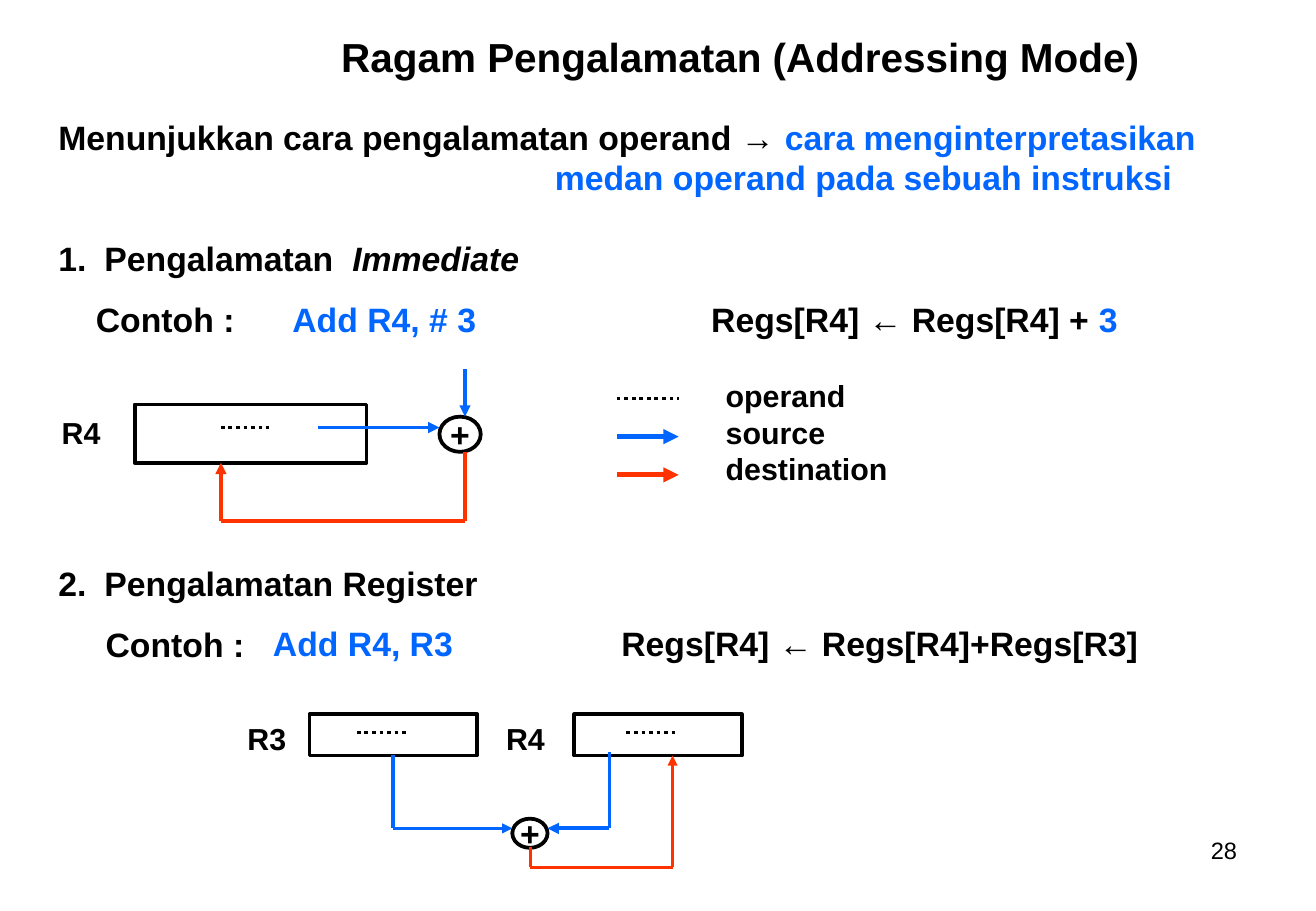
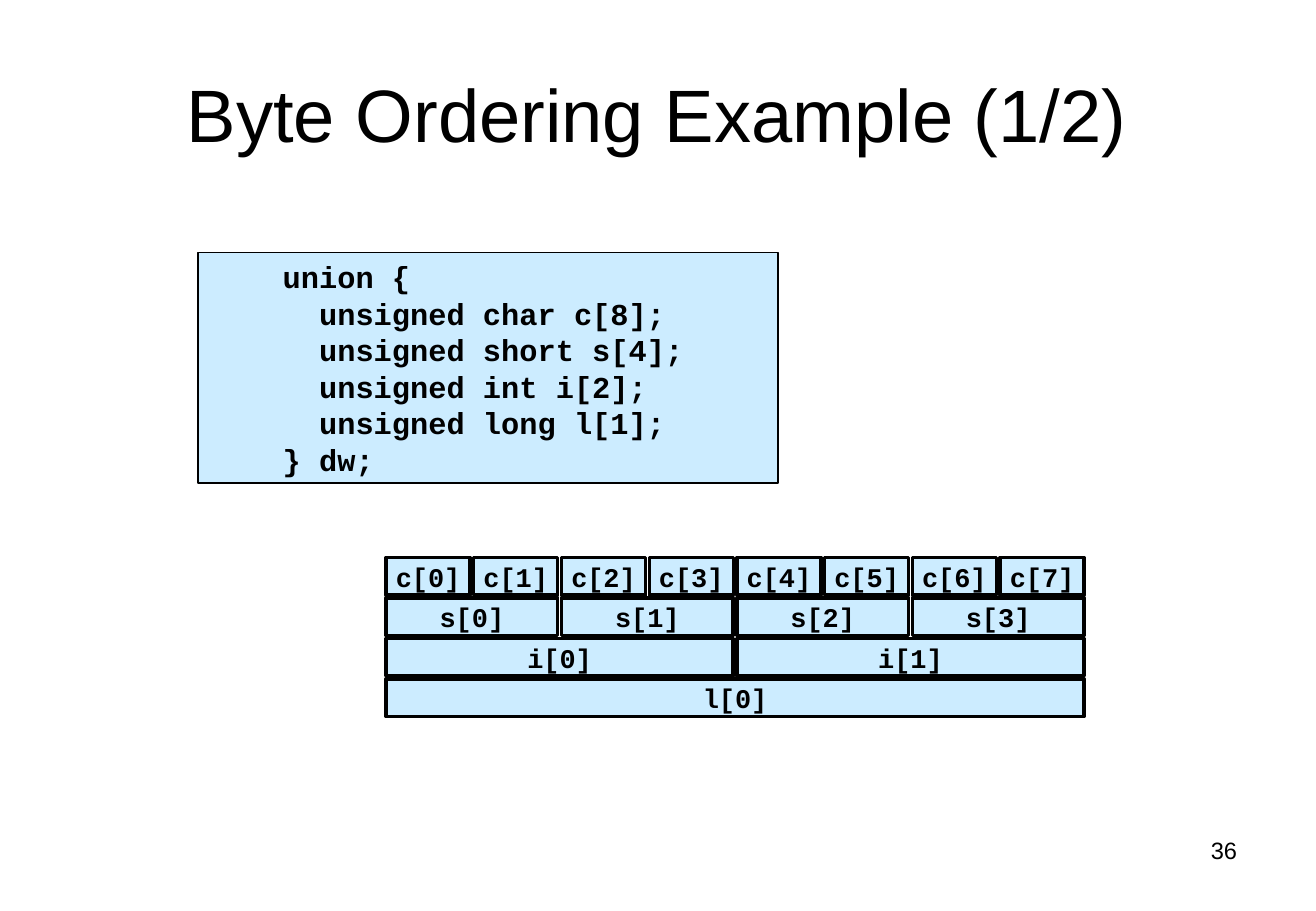
from pptx import Presentation
from pptx.dml.color import RGBColor
from pptx.enum.dml import MSO_LINE
from pptx.enum.shapes import MSO_CONNECTOR, MSO_SHAPE
from pptx.enum.text import MSO_ANCHOR, MSO_AUTO_SIZE, PP_ALIGN
from pptx.oxml.ns import qn
from pptx.util import Inches, Pt
from lxml import etree

LEFT, MID, RIGHT = PP_ALIGN.LEFT, PP_ALIGN.CENTER, PP_ALIGN.RIGHT
TOP, CENTER = MSO_ANCHOR.TOP, MSO_ANCHOR.MIDDLE
RECT, OVAL = MSO_SHAPE.RECTANGLE, MSO_SHAPE.OVAL
LINE, DOTS = MSO_CONNECTOR.STRAIGHT, MSO_LINE.ROUND_DOT
BOTTOM = 2

COL = {"ink": "000000", "blue": "0066FF", "red": "FF3300",
       "pale": "CCECFF", "white": "FFFFFF"}
SANS, MONO = "Arial", "Courier New"

# Slide 1 text: runs are (text, colour, italic)
INTRO = [
    dict(runs=[("Menunjukkan cara pengalamatan operand → ", "ink"),
               ("cara menginterpretasikan", "blue")]),
    dict(runs=[("medan operand pada sebuah instruksi", "blue")], left=4.09),
    dict(runs=[("Pengalamatan  ", "ink"), ("Immediate", "ink", True)],
         num=1, space=2),
    dict(runs=[("Contoh :", "ink")], left=0.31, space=1.5),
    dict(runs=[("Pengalamatan Register", "ink")],
         num=2, space=2, before=108.5),
    dict(runs=[("Contoh :", "ink")], left=0.39, space=1.5),
]
# Examples beside "Contoh": box, runs
SAMPLES = [
    ((2.31, 2.41, 2.2, 0.42), [("Add R4, # 3", "blue")]),
    ((5.76, 2.41, 4.6, 0.42), [("Regs[R4] ← Regs[R4] + ", "ink"),
                               ("3", "blue")]),
    ((2.15, 5.08, 2.2, 0.42), [("Add R4, R3", "blue")]),
    ((5.02, 5.08, 4.8, 0.42), [("Regs[R4] ← Regs[R4]+Regs[R3]", "ink")]),
]

# Slide 1 diagrams: registers (name, label x, label y, box)
REGS = [("R4", 0.41, 3.36, (1.11, 3.33, 1.91, 0.48)),
        ("R3", 1.94, 5.88, (2.55, 5.88, 1.38, 0.34)),
        ("R4", 4.07, 5.88, (4.73, 5.88, 1.38, 0.34))]
ADDERS = [(3.62, 3.43, 0.34, 0.29), (4.22, 6.74, 0.29, 0.24)]
DASHES = [(1.82, 2.22, 3.52), (2.94, 3.37, 6.03), (5.16, 5.59, 6.03)]
# Wires: colour, corner points, width of each segment; the last has the head
WIRES = [
    ("blue", [(3.83, 3.04), (3.83, 3.43)], [2.25]),
    ("blue", [(2.62, 3.52), (3.62, 3.52)], [2.25]),
    ("red", [(3.83, 3.72), (3.83, 4.29), (1.82, 4.29), (1.82, 3.81)],
     [2.25, 2.25, 2.25]),
    ("blue", [(3.24, 6.22), (3.24, 6.82), (4.22, 6.82)], [2.25, 1.5]),
    ("blue", [(5.02, 6.19), (5.02, 6.82), (4.51, 6.82)], [2.25, 2.25]),
    ("red", [(4.37, 6.97), (4.37, 7.14), (5.54, 7.14), (5.54, 6.22)],
     [2.25, 1.5, 1.5]),
]
LEGEND = [("operand", "ink", 2.25), ("source", "blue", 3),
          ("destination", "red", 3)]

# Slide 2: code lines as (level, text), and one array name per row
CODE = [(0, "union {"), (1, "unsigned char c[8];"),
        (1, "unsigned short s[4];"), (1, "unsigned int i[2];"),
        (1, "unsigned long l[1];"), (0, "} dw;")]
ARRAYS, BYTES = "csil", 8


def rgb(name):
    return RGBColor.from_string(COL[name])


def font(run, size, bold=False, face=SANS, color="ink", slant=False):
    f = run.font
    f.name, f.size, f.bold, f.italic = face, Pt(size), bold, slant
    f.color.rgb = rgb(color)


def place(shape, box):
    shape.left, shape.top, shape.width, shape.height = map(Inches, box)


def write(shape, text, size, bold=False, face=SANS, align=LEFT,
          anchor=TOP, wrap=False):
    frame = shape.text_frame
    frame.text = text
    frame.word_wrap, frame.vertical_anchor = wrap, anchor
    frame.auto_size = MSO_AUTO_SIZE.NONE
    for para in frame.paragraphs:
        para.alignment = align
        for run in para.runs:
            font(run, size, bold, face)


def label(slide, box, text, size=18, bold=True, **style):
    shape = slide.shapes.add_textbox(*map(Inches, box))
    write(shape, text, size, bold, **style)


def block(slide, kind, box, fill, width):
    shape = slide.shapes.add_shape(kind, *map(Inches, box))
    shape.shadow.inherit = False
    shape.fill.solid()
    shape.fill.fore_color.rgb = rgb(fill)
    shape.line.color.rgb = rgb("ink")
    shape.line.width = Pt(width)
    return shape


def wire(slide, start, end, color, width, head=False, dots=False):
    link = slide.shapes.add_connector(LINE, *map(Inches, (*start, *end)))
    link.line.color.rgb = rgb(color)
    link.line.width = Pt(width)
    if dots:
        link.line.dash_style = DOTS
    if head:
        ln = link._element.spPr.find(qn("a:ln"))
        etree.SubElement(ln, qn("a:tailEnd"), type="triangle")
    etree.SubElement(link._element.spPr, qn("a:effectLst"))
    return link


def indent(para, left, hang=0):
    props = para._p.get_or_add_pPr()
    props.set("marL", str(Inches(left)))
    props.set("indent", str(Inches(-hang)))
    return props


def fill_para(para, runs, left=0, num=None, space=1, before=0):
    para.alignment = LEFT
    para.line_spacing = float(space)
    para.space_before, para.space_after = Pt(before), Pt(0)
    hang = 0.38 if num else 0
    props = indent(para, left + hang, hang)
    if num:
        etree.SubElement(props, qn("a:buFont"), typeface=SANS)
        etree.SubElement(props, qn("a:buAutoNum"), type="arabicPeriod",
                         startAt=str(num))
    else:
        etree.SubElement(props, qn("a:buNone"))
    for text, color, *slant in runs:
        run = para.add_run()
        run.text = text
        font(run, 20, True, color=color, slant=bool(slant))


def new_slide(deck, layout, page, title, box, size, **style):
    slide = deck.slides.add_slide(deck.slide_layouts[layout])
    place(slide.shapes.title, box)
    write(slide.shapes.title, title, size, wrap=True, **style)
    label(slide, (7.76, 6.83, 2.53, 0.52), page, 14, False,
          align=RIGHT, wrap=True)
    return slide


def modes(deck):
    slide = new_slide(deck, 1, "28", "Ragam Pengalamatan (Addressing Mode)",
                      (2.71, 0.21, 7.5, 0.5), 24, bold=True)

    # Body text and examples
    body = slide.placeholders[1]
    place(body, (0.38, 0.91, 10.06, 4.6))
    frame = body.text_frame
    frame.auto_size, frame.vertical_anchor = MSO_AUTO_SIZE.NONE, TOP
    for n, item in enumerate(INTRO):
        para = frame.add_paragraph() if n else frame.paragraphs[0]
        fill_para(para, **item)
    for box, runs in SAMPLES:
        sample = slide.shapes.add_textbox(*map(Inches, box)).text_frame
        sample.word_wrap = True
        fill_para(sample.paragraphs[0], runs)

    # Registers and adders
    boxes = []
    for name, x, y, box in REGS:
        label(slide, (x, y, 0.52, 0.4), name)
        boxes.append(block(slide, RECT, box, "white", 2.25))
    for box in ADDERS:
        adder = block(slide, OVAL, box, "white", 2.25)
        write(adder, "+", 20, True, align=MID, anchor=CENTER)

    # Operand dots and wires
    for x, end, y in DASHES:
        wire(slide, (x, y), (end, y), "ink", 2.25, dots=True)
    for color, points, widths in WIRES:
        for n, width in enumerate(widths):
            link = wire(slide, points[n], points[n + 1], color, width,
                        head=n == len(widths) - 1)
            if points[n] == (3.24, 6.22):
                link.begin_connect(boxes[1], BOTTOM)

    # Legend
    label(slide, (5.88, 3.06, 1.53, 1),
          "\n".join(name for name, *_ in LEGEND))
    for n, (_, color, width) in enumerate(LEGEND):
        y = 3.28 + n * 0.315
        wire(slide, (5.08, y), (5.59, y), color, width,
             head=n > 0, dots=n == 0)


def order(deck):
    slide = new_slide(deck, 5, "36", "Byte Ordering Example (1/2)",
                      (0.54, 0.3, 9.75, 1.25), 44, align=MID, anchor=CENTER)

    # Code box
    code = block(slide, RECT, (1.63, 2.08, 4.78, 1.9), "pale", 1)
    write(code, "\n".join(text for _, text in CODE), 18, True, MONO,
          wrap=True)
    for para, (level, _) in zip(code.text_frame.paragraphs, CODE):
        indent(para, 0.6 + 0.3 * level)

    # Byte grid: each row doubles the span of a cell
    pitch, step, gap = 5.78 / BYTES, 1 / 3, 0.03
    for row, name in enumerate(ARRAYS):
        span = 2 ** row
        for n in range(BYTES // span):
            box = (3.18 + n * span * pitch, 4.59 + row * step,
                   span * pitch - gap, 0.31)
            cell = block(slide, RECT, box, "pale", 2)
            write(cell, f"{name}[{n}]", 16, True, MONO, MID, CENTER)


def main():
    deck = Presentation()
    deck.slide_width, deck.slide_height = Inches(10.84), Inches(7.5)
    modes(deck)
    order(deck)
    deck.save("out.pptx")


if __name__ == "__main__":
    main()
